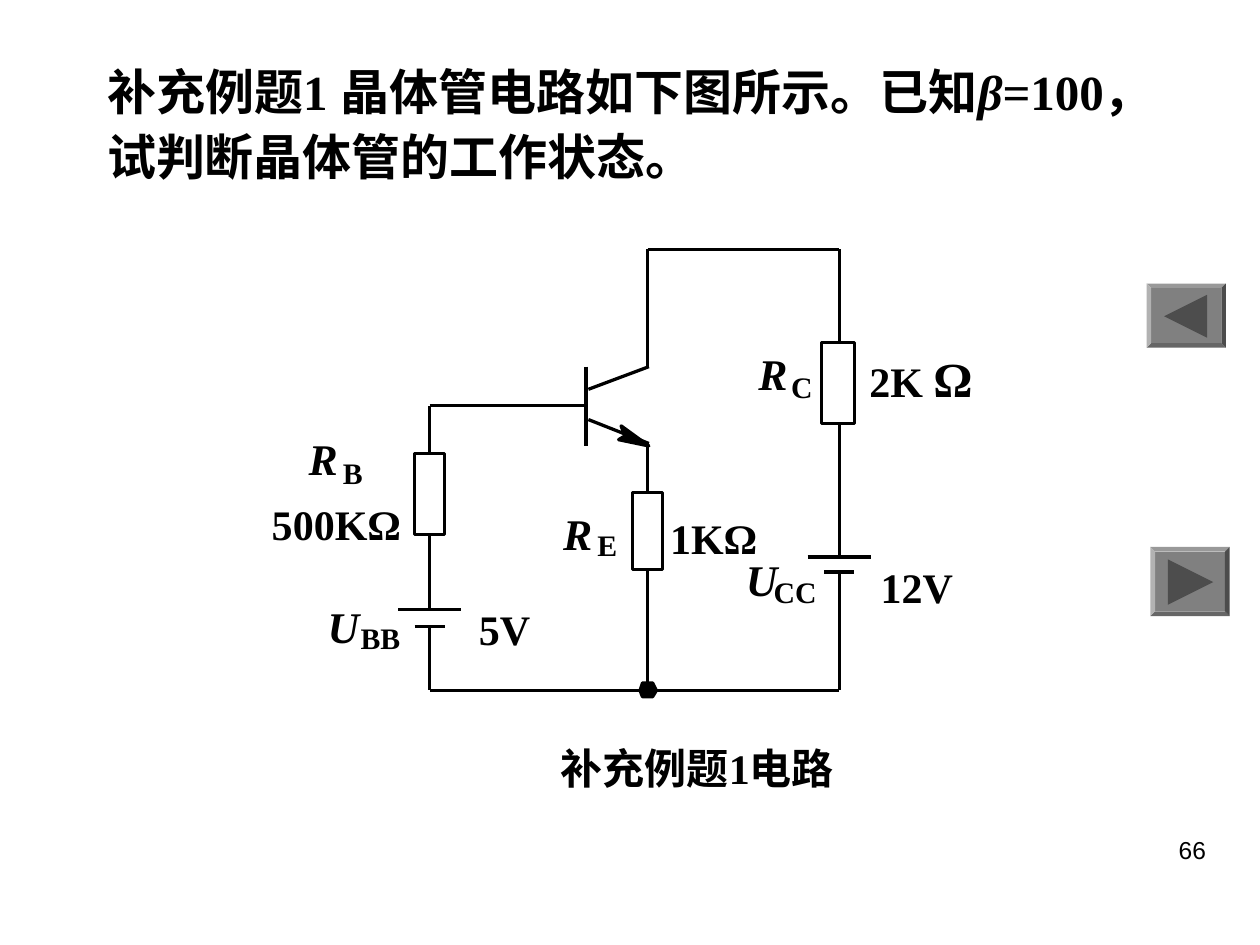
from dataclasses import dataclass

from lxml import etree
from pptx import Presentation
from pptx.dml.color import RGBColor
from pptx.enum.shapes import MSO_CONNECTOR, MSO_SHAPE
from pptx.enum.text import MSO_ANCHOR, MSO_AUTO_SIZE, PP_ALIGN
from pptx.oxml.ns import qn
from pptx.util import Inches, Pt

STRAIGHT = MSO_CONNECTOR.STRAIGHT
RECTANGLE, BEVEL = MSO_SHAPE.RECTANGLE, MSO_SHAPE.BEVEL
TOP = MSO_ANCHOR.TOP
FIXED_SIZE, FIT_TEXT = MSO_AUTO_SIZE.NONE, MSO_AUTO_SIZE.SHAPE_TO_FIT_TEXT
CENTER, RIGHT, JUSTIFY = PP_ALIGN.CENTER, PP_ALIGN.RIGHT, PP_ALIGN.JUSTIFY


@dataclass(frozen=True)
class Theme:
    ink: RGBColor = RGBColor(0, 0, 0)
    paper: RGBColor = RGBColor(255, 255, 255)
    button: RGBColor = RGBColor(0x80, 0x80, 0x80)
    arrow: RGBColor = RGBColor(0x4D, 0x4D, 0x4D)
    serif: str = "Times New Roman"
    sans: str = "Arial"
    title: int = 28
    label: int = 24
    symbol: int = 25
    subscript: int = 17
    number: int = 14
    wire: float = 1.87


THEME = Theme()

# Circuit columns and rails, in inches
BASE_X, EMITTER_X, SUPPLY_X = 3.41, 5.14, 6.66
TOP_Y, BASE_Y, BOTTOM_Y = 1.98, 3.22, 5.48
BAR_X = 4.65

WIRES = [
    # collector and supply branch
    (EMITTER_X, TOP_Y, EMITTER_X, 2.92),
    (EMITTER_X, TOP_Y, SUPPLY_X, TOP_Y),
    (SUPPLY_X, TOP_Y, SUPPLY_X, 4.42),
    (SUPPLY_X, 4.54, SUPPLY_X, BOTTOM_Y),
    # base branch
    (BASE_X, BASE_Y, BAR_X, BASE_Y),
    (BASE_X, BASE_Y, BASE_X, 4.84),
    (BASE_X, 4.97, BASE_X, BOTTOM_Y),
    # emitter branch and bottom rail
    (EMITTER_X, 3.53, EMITTER_X, BOTTOM_Y),
    (BASE_X, BOTTOM_Y, SUPPLY_X, BOTTOM_Y),
    # transistor
    (BAR_X, 2.91, BAR_X, 3.54),
    (4.67, 3.09, 5.15, 2.91),
    (4.67, 3.33, 5.15, 3.52),
]
BATTERIES = [(BASE_X, 4.84, 4.97), (SUPPLY_X, 4.42, 4.54)]
RESISTORS = [(BASE_X, 3.6, 0.24, 0.64), (SUPPLY_X - 0.01, 2.72, 0.26, 0.64),
             (EMITTER_X, 3.91, 0.24, 0.61)]
EMITTER_ARROW = [(4.91, 3.49), (4.96, 3.46), (4.93, 3.38), (5.15, 3.54)]
JUNCTION = [(5.08, 5.48), (5.1, 5.42), (5.18, 5.42),
            (5.21, 5.48), (5.18, 5.53), (5.1, 5.53)]

# Letter, its left, top and width; subscript, its left, top and width
SYMBOLS = [
    ("R", 2.45, 3.43, 0.23, "B", 2.72, 3.61, 0.16),
    ("U", 2.6, 4.76, 0.25, "BB", 2.85, 4.92, 0.34),
    ("R", 4.47, 4.02, 0.23, "E", 4.74, 4.18, 0.16),
    ("R", 6.02, 2.75, 0.23, "C", 6.28, 2.93, 0.17),
    ("U", 5.92, 4.39, 0.25, "CC", 6.12, 4.55, 0.38),
]
VALUES = [
    ("5V", 3.68, 4.74, 0.65),
    ("500KΩ", 2.04, 3.91, 1.26),
    ("1KΩ", 5.2, 4.02, 0.93),
    ("12V", 6.87, 4.41, 0.81),
]


def set_font(font, size, name=THEME.serif, bold=True):
    font.size, font.name, font.bold = Pt(size), name, bold
    font.color.rgb = THEME.ink


def add_text(slide, text, box, size, align=CENTER, wrap=False, inset=True,
             name=THEME.serif, bold=True):
    frame = slide.shapes.add_textbox(*map(Inches, box)).text_frame
    frame.word_wrap = wrap
    frame.auto_size = FIXED_SIZE if wrap else FIT_TEXT
    if not inset:
        frame.margin_left = frame.margin_right = 0
        frame.margin_top = frame.margin_bottom = 0
    paragraph = frame.paragraphs[0]
    paragraph.text, paragraph.alignment = text, align
    set_font(paragraph.font, size, name, bold)
    return paragraph


def add_title(slide):
    title = slide.shapes.title
    title.left, title.top = Inches(0.75), Inches(0.39)
    title.width, title.height = Inches(8.5), Inches(1.19)
    frame = title.text_frame
    frame.auto_size, frame.vertical_anchor = FIXED_SIZE, TOP
    frame.word_wrap = True
    paragraph = frame.paragraphs[0]
    paragraph.alignment, paragraph.line_spacing = JUSTIFY, 1.1
    for text in ("补充例题1 晶体管电路如下图所示。已知", "β",
                 "=100，试判断晶体管的工作状态。"):
        run = paragraph.add_run()
        run.text = text
        if text == "β":
            run.font.italic = True
    set_font(paragraph.font, THEME.title)


def add_wire(slide, x1, y1, x2, y2):
    wire = slide.shapes.add_connector(STRAIGHT, *map(Inches, (x1, y1, x2, y2)))
    wire.line.color.rgb, wire.line.width = THEME.ink, Pt(THEME.wire)
    etree.SubElement(wire._element.spPr, qn("a:effectLst"))


def paint(shape, fill, outlined=True):
    shape.shadow.inherit = False
    shape.fill.solid()
    shape.fill.fore_color.rgb = fill
    if outlined:
        shape.line.color.rgb, shape.line.width = THEME.ink, Pt(THEME.wire)
    else:
        shape.line.fill.background()


def add_polygon(slide, points, fill, outlined=True):
    corners = [(Inches(x), Inches(y)) for x, y in points]
    builder = slide.shapes.build_freeform(*corners[0], scale=1.0)
    builder.add_line_segments(corners[1:], close=True)
    paint(builder.convert_to_shape(), fill, outlined)


def add_resistor(slide, center_x, top, width, height):
    box = (center_x - width / 2, top, width, height)
    paint(slide.shapes.add_shape(RECTANGLE, *map(Inches, box)), THEME.paper)


def add_battery(slide, center_x, long_y, short_y):
    for half, y in ((0.25, long_y), (0.12, short_y)):
        add_wire(slide, center_x - half, y, center_x + half, y)


def add_symbol(slide, letter, x, y, width, subscript, sub_x, sub_y, sub_width):
    main = add_text(slide, letter, (x, y, width, 0.42), THEME.symbol, inset=False)
    main.font.italic = True
    add_text(slide, subscript, (sub_x, sub_y, sub_width, 0.28),
             THEME.subscript, inset=False)


def add_button(slide, box, arrow):
    button = slide.shapes.add_shape(BEVEL, *map(Inches, box))
    button.adjustments[0] = 0.07
    paint(button, THEME.button, outlined=False)
    add_polygon(slide, arrow, THEME.arrow, outlined=False)


def main():
    deck = Presentation()
    deck.slide_width, deck.slide_height = Inches(10), Inches(7.5)
    slide = deck.slides.add_slide(deck.slide_layouts[5])

    # Question, caption and page number
    add_title(slide)
    add_text(slide, "补充例题1电路", (4.26, 5.84, 2.55, 0.5), THEME.label, wrap=True)
    add_text(slide, "66", (7.17, 6.58, 2.5, 0.52), THEME.number, RIGHT,
             wrap=True, name=THEME.sans, bold=False)

    # Circuit
    for wire in WIRES:
        add_wire(slide, *wire)
    for battery in BATTERIES:
        add_battery(slide, *battery)
    for resistor in RESISTORS:
        add_resistor(slide, *resistor)
    for outline in (EMITTER_ARROW, JUNCTION):
        add_polygon(slide, outline, THEME.ink)

    # Component names and values
    for symbol in SYMBOLS:
        add_symbol(slide, *symbol)
    for value, x, y, width in VALUES:
        add_text(slide, value, (x, y, width, 0.5), THEME.label)
    collector = add_text(slide, "2K ", (6.78, 2.72, 1.06, 0.57), THEME.label)
    ohm = collector.add_run()
    ohm.text, ohm.font.size = "Ω", Pt(THEME.title)

    # Navigation buttons
    add_button(slide, (9.1, 2.25, 0.63, 0.51),
               [(9.24, 2.51), (9.58, 2.34), (9.58, 2.68)])
    add_button(slide, (9.13, 4.34, 0.63, 0.55),
               [(9.27, 4.44), (9.63, 4.62), (9.27, 4.8)])

    deck.save("out.pptx")


if __name__ == "__main__":
    main()
